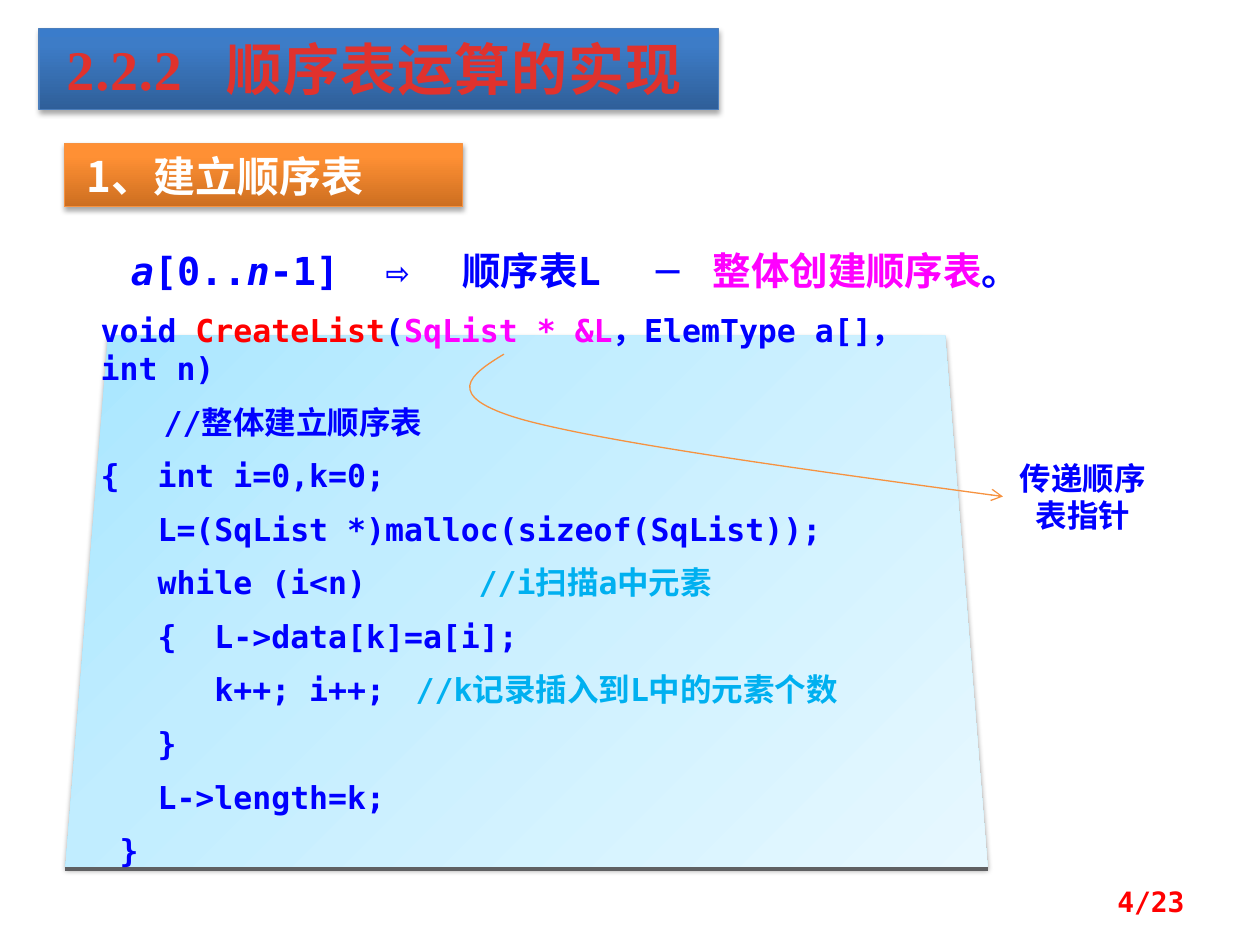
from lxml import etree
from pptx import Presentation
from pptx.dml.color import RGBColor
from pptx.enum import shapes, text
from pptx.oxml import parse_xml
from pptx.oxml.ns import nsdecls, qn
from pptx.util import Cm, Pt

MONO, SANS, SERIF = "DejaVu Sans Mono", "Noto Sans CJK SC", "Times New Roman"
BLUE, RED, PINK, CYAN = "0000FF", "FF0000", "FF00FF", "00B0F0"
ORANGE = "F69240"

CODE = [
    [("void ", BLUE), ("CreateList", RED), ("(", BLUE), ("SqList * &L", PINK),
     ("，ElemType a[]，int n)", BLUE)],
    [("　　//整体建立顺序表", BLUE)],
    [("{  int i=0,k=0;", BLUE)],
    [("   L=(SqList *)malloc(sizeof(SqList));", BLUE)],
    [("   while (i<n)\t\t", BLUE), ("//i扫描a中元素", CYAN)],
    [("   {  L->data[k]=a[i];", BLUE)],
    [("      k++; i++;\t", BLUE), ("//k记录插入到L中的元素个数", CYAN)],
    [("   }", BLUE)],
    [("   L->length=k;", BLUE)],
    [(" }", BLUE)],
]


def rgb(value):
    return RGBColor.from_string(value)


def add_run(p, content, size=18, font=MONO, color=BLUE, italic=False, spacing=0):
    r = p.add_run()
    r.text = content
    r.font.size, r.font.name = Pt(size), font
    r.font.bold, r.font.italic = True, italic
    r.font.color.rgb = rgb(color)
    rPr = r.font._element
    if spacing:
        rPr.set("spc", str(int(spacing * 100)))
    ea = etree.Element(qn("a:ea"), typeface=SANS)
    rPr.find(qn("a:latin")).addnext(ea)


def set_tabs(p, stops):
    """Left tab stops, in centimetres from the text edge."""
    tabs = etree.SubElement(p._p.get_or_add_pPr(), qn("a:tabLst"))
    for stop in stops:
        etree.SubElement(tabs, qn("a:tab"), pos=str(Cm(stop)), algn="l")


def prepare_frame(sp, left_inset=0.25, grow=True):
    tf = sp.text_frame
    tf.word_wrap = True
    tf.margin_left = Cm(left_inset)
    tf.vertical_anchor = text.MSO_ANCHOR.TOP
    if grow:
        tf.auto_size = text.MSO_AUTO_SIZE.SHAPE_TO_FIT_TEXT
    tf.paragraphs[0].alignment = text.PP_ALIGN.LEFT
    return tf


def add_text_box(s, box, **kwargs):
    return prepare_frame(s.shapes.add_textbox(*map(Cm, box)), **kwargs)


def add_gradient_shape(s, kind, box, stops, angle, line=None, alpha=35):
    sp = s.shapes.add_shape(kind, *map(Cm, box))
    sp.shadow.inherit = False
    if line:
        sp.line.color.rgb = rgb(line)
        sp.line.width = Pt(0.75)
    else:
        sp.line.fill.background()
    # Three-stop gradient
    marks = "".join(f'<a:gs pos="{pos * 1000}"><a:srgbClr val="{color}"/></a:gs>'
                    for pos, color in stops)
    sp._element.spPr.find(qn("a:prstGeom")).addnext(parse_xml(
        f'<a:gradFill {nsdecls("a")} rotWithShape="1"><a:gsLst>{marks}</a:gsLst>'
        f'<a:lin ang="{angle * 60000}" scaled="0"/></a:gradFill>'))
    # Soft shadow below
    sp._element.spPr.find(qn("a:effectLst")).append(parse_xml(
        f'<a:outerShdw {nsdecls("a")} blurRad="{Pt(3.1)}" dist="{Pt(1.8)}" '
        f'dir="5400000" rotWithShape="0"><a:srgbClr val="000000">'
        f'<a:alpha val="{alpha * 1000}"/></a:srgbClr></a:outerShdw>'))
    return sp


def add_line(s, start, end, color, width):
    c = s.shapes.add_connector(shapes.MSO_CONNECTOR.STRAIGHT,
                               *map(Cm, start + end))
    c.line.color.rgb = rgb(color)
    c.line.width = Pt(width)
    etree.SubElement(c._element.spPr, qn("a:effectLst"))


def add_curved_arrow(s, points, color):
    """Open Bezier path: a start, then three points per segment."""
    pts = [(Cm(x), Cm(y)) for x, y in points]
    builder = s.shapes.build_freeform(*pts[0], scale=1.0)
    builder.add_line_segments(pts[1:], close=False)
    sp = builder.convert_to_shape()
    path = next(sp._element.iter(qn("a:path")))
    segments = path.findall(qn("a:lnTo"))
    for i in range(0, len(segments), 3):
        curve = etree.SubElement(path, qn("a:cubicBezTo"))
        for segment in segments[i:i + 3]:
            curve.append(segment[0])
            path.remove(segment)
    sp.shadow.inherit = False
    sp.fill.background()
    sp.line.color.rgb = rgb(color)
    sp.line.width = Pt(0.75)
    etree.SubElement(sp.line._get_or_add_ln(), qn("a:tailEnd"), type="arrow")


def add_code(s):
    # Panel that narrows to the top, with a dark lower edge
    panel = add_gradient_shape(
        s, shapes.MSO_SHAPE.TRAPEZOID, (1.32, 6.76, 18.59, 10.74),
        [(0, "A7E6FF"), (35, "C1EDFF"), (100, "E7F8FF")], 45, alpha=38)
    panel.adjustments[0] = 0.08
    add_line(s, (1.32, 17.52), (19.91, 17.52), "5F6062", 2.25)
    # Listing
    tf = add_text_box(s, (1.78, 6.15, 17.65, 11.4))
    for i, line in enumerate(CODE):
        p = tf.add_paragraph() if i else tf.paragraphs[0]
        if i:
            p.space_before = Pt(9)
        for content, color in line:
            add_run(p, content, color=color)


def add_headings(s):
    rect = shapes.MSO_SHAPE.RECTANGLE
    title = add_gradient_shape(
        s, rect, (0.79, 0.58, 13.69, 1.63),
        [(0, "2F5F99"), (80, "3D7CC7"), (100, "3A7CCB")], 270, "4B7EBC")
    p = prepare_frame(title, left_inset=0.55).paragraphs[0]
    set_tabs(p, [3.23])
    add_run(p, "2.2.2\t顺序表运算的实现", size=32, font=SERIF, color="E0322D",
            spacing=0.5)

    subtitle = add_gradient_shape(
        s, rect, (1.3, 2.9, 8.03, 1.27),
        [(0, "CC6E20"), (80, "FF9034"), (100, "FF9136")], 270, ORANGE)
    p = prepare_frame(subtitle, left_inset=0.45).paragraphs[0]
    add_run(p, "1、建立顺序表", size=24, font=SANS, color="FFFFFF")


def add_formula(s):
    p = add_text_box(s, (2.39, 4.67, 18.64, 1.4)).paragraphs[0]
    set_tabs(p, [5.13, 6.68, 10.59, 11.73])
    p.line_spacing = 1.2
    for content, color, italic in [
            ("a", BLUE, True), ("[0..", BLUE, False), ("n", BLUE, True),
            ("-1]\t⇨\t顺序表L\t─\t", BLUE, False),
            ("整体创建顺序表", PINK, False), ("。", BLUE, False)]:
        add_run(p, content, size=22, color=color, italic=italic)


def main():
    prs = Presentation()
    prs.slide_width, prs.slide_height = Cm(25.4), Cm(19.05)
    s = prs.slides.add_slide(prs.slide_layouts[6])

    add_code(s)
    add_headings(s)
    add_formula(s)

    # Note on the pointer parameter
    p = add_text_box(s, (20.24, 9.12, 3.18, 1.8)).paragraphs[0]
    p.alignment = text.PP_ALIGN.CENTER
    add_run(p, "传递顺序表指针", font=SANS)
    add_curved_arrow(s, [(10.16, 7.14), (9.5, 7.54), (8.86, 7.98), (10.54, 8.46),
                         (12.22, 8.92), (16.23, 9.47), (20.22, 10.01)], ORANGE)

    # Page number
    tf = add_text_box(s, (18.21, 17.65, 5.92, 1.02), grow=False)
    tf.vertical_anchor = text.MSO_ANCHOR.MIDDLE
    tf.paragraphs[0].alignment = text.PP_ALIGN.RIGHT
    add_run(tf.paragraphs[0], "4/23", size=16, color=RED)

    prs.save("out.pptx")


if __name__ == "__main__":
    main()
